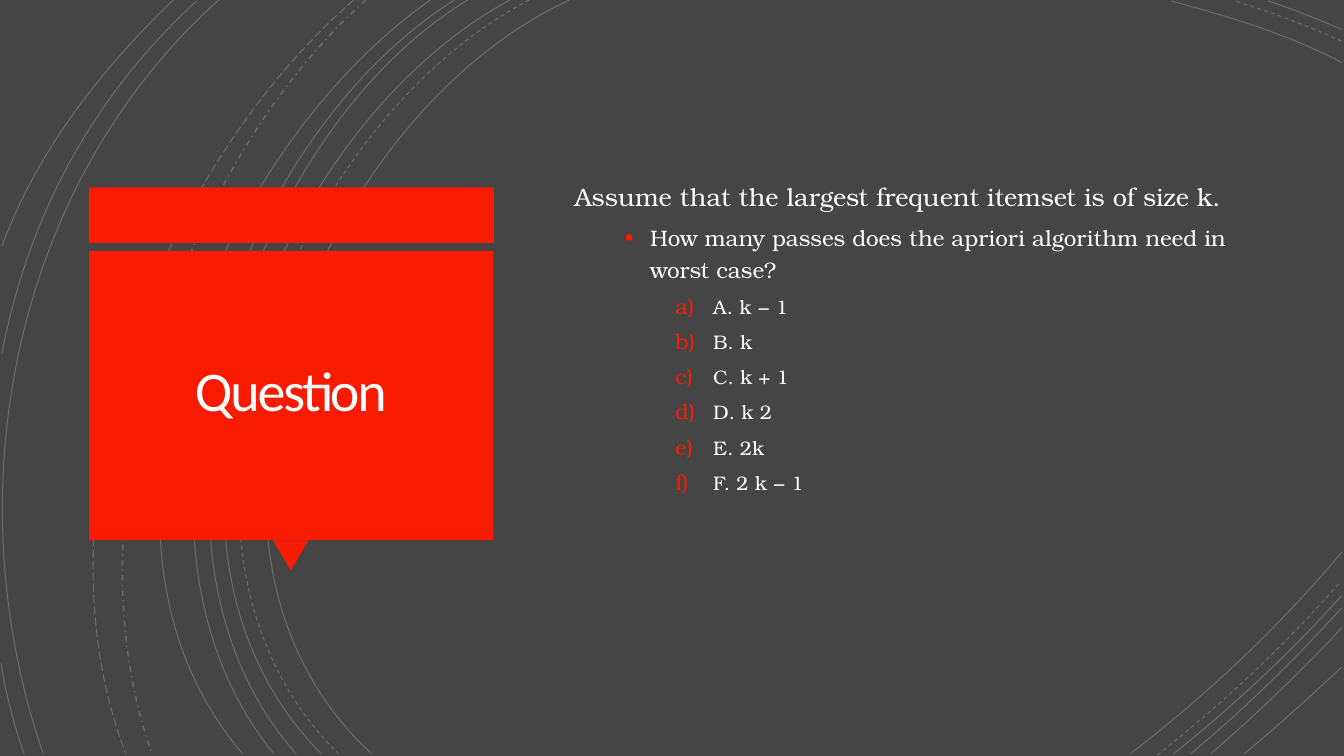
from dataclasses import dataclass

from lxml import etree
from pptx import Presentation
from pptx import util as u
from pptx.dml.color import RGBColor
from pptx.enum import dml, shapes, text
from pptx.oxml import ns

TITLE = "Question"
# Level, wording
BODY = [
    (0, "Assume that the largest frequent itemset is of size k."),
    (1, "How many passes does the apriori algorithm need in worst case?"),
    (2, "A. k − 1"),
    (2, "B. k"),
    (2, "C. k + 1"),
    (2, "D. k 2"),
    (2, "E. 2k"),
    (2, "F. 2 k − 1"),
]

# Cubic arcs in points: start, two control points, end; grouped by line style
SOLID_ARCS = [
    ((406.8, 0), (226.8, 82.8), (103, 388.8), (265.7, 538.6)),
    ((958.3, 44.6), (920.2, 24.5), (877, 11.5), (836.6, 0.7)),
    ((807.1, 538.6), (861.8, 496.8), (913.7, 447.8), (958.3, 394.6)),
    ((364.3, 0), (194.4, 91.4), (79.2, 386.6), (229.7, 538.6)),
    ((958.3, 20.9), (941, 13.7), (923.8, 6.5), (905.8, 0.7)),
    ((838.1, 538.6), (880.6, 504.7), (921.6, 466.6), (958.3, 425.5)),
    ((334.1, 0), (175.7, 95.8), (79.2, 389.5), (211.7, 538.6)),
    ((850.3, 538.6), (888.5, 506.9), (924.5, 471.6), (958.3, 434.2)),
    ((324.7, 0), (166.3, 99.4), (69.8, 383.8), (195.8, 538.6)),
    ((864.7, 538.6), (897.1, 510.5), (928.8, 480.2), (958.3, 448.6)),
    ((307.4, 0), (156.2, 105.8), (38.2, 380.9), (173.5, 538.6)),
    ((888.5, 538.6), (912.2, 519.1), (935.3, 498.2), (958.3, 476.6)),
    ((156.2, 0), (7.9, 133.2), (-33.1, 352.8), (31, 538.6)),
    ((140.4, 0.7), (66.2, 69.1), (20.2, 154.1), (1.4, 252.7)),
    ((0.7, 473.8), (4.3, 496.1), (10.1, 518.4), (17.3, 538.6)),
    ((123.8, 0), (72, 49.7), (26.6, 108), (1.4, 175.7)),
]
DASHED_ARCS = [
    ((378, 0), (205.2, 90), (88.6, 386.6), (241.9, 538.6)),
    ((958.3, 29.5), (933.8, 18), (907.2, 8.6), (882, 0.7)),
    ((826.6, 539.3), (873.4, 502.6), (918, 460.8), (957.6, 415.4)),
]
DASH_DOT_ARCS = [((261.4, 0), (126.7, 119.5), (46.8, 366.5), (108.7, 538.6))]
LONG_DASH_ARCS = [((252.7, 0), (113, 121.7), (20.9, 359.3), (90, 538.6))]
ARC_STYLES = [
    (SOLID_ARCS, dml.MSO_LINE.SOLID, 0.75),
    (DASHED_ARCS, dml.MSO_LINE.DASH, 0.75),
    (DASH_DOT_ARCS, dml.MSO_LINE.DASH_DOT, 1),
    (LONG_DASH_ARCS, dml.MSO_LINE.LONG_DASH, 0.75),
]

# Left, top, width, height in points
BANNER = (63.4, 133.9, 289.4, 39.6)
POINTER = (195.1, 385.9, 25.2, 21.6)
PANEL = (63.7, 179.3, 288.7, 206.6)
TITLE_BOX = (69.8, 185, 275.8, 193.7)
BODY_BOX = (403.2, 63.4, 494.6, 413.3)
BODY_BOTTOM_INSET = 65.3


@dataclass(frozen=True)
class Theme:
    ground: RGBColor = RGBColor(0x45, 0x45, 0x45)
    accent: RGBColor = RGBColor(0xF8, 0x1B, 0x02)
    white: RGBColor = RGBColor(0xFF, 0xFF, 0xFF)
    title_ink: RGBColor = RGBColor(0xFF, 0xFE, 0xFF)
    title_font: str = "Calibri"
    body_font: str = "TeX Gyre Bonum"
    title_size: float = 40
    body_sizes: tuple = (18, 16, 14)
    space_before: tuple = (10, 5, 5)
    margins: tuple = (0, 54, 99)
    indents: tuple = (0, -18, -27)
    arc_opacity: int = 20


THEME = Theme()
MARKERS = [("buNone", {}), ("buChar", {"char": "▪"}),
           ("buAutoNum", {"type": "alphaLcParenR"})]


def add_child(parent, tag, **attributes):
    return etree.SubElement(parent, ns.qn(f"a:{tag}"), attributes)


def add_arc(page, points, dash, width):
    """Draw a cubic curve by joining the outline's three segments into one."""
    start, *others = [(u.Pt(x), u.Pt(y)) for x, y in points]
    builder = page.shapes.build_freeform(*start)
    builder.add_line_segments(others, close=False)
    arc = builder.convert_to_shape()
    arc.shadow.inherit = False
    arc.fill.background()
    arc.line.color.rgb = THEME.white
    arc.line.width = u.Pt(width)
    arc.line.dash_style = dash
    ink = arc.line._get_or_add_ln().find(".//" + ns.qn("a:srgbClr"))
    add_child(ink, "alpha", val=str(THEME.arc_opacity * 1000))

    segments = list(arc._element.iter(ns.qn("a:lnTo")))
    curve = add_child(segments[0].getparent(), "cubicBezTo")
    for segment in segments:
        curve.append(segment[0])
        segment.getparent().remove(segment)


def add_block(page, kind, bounds, rotation=0):
    block = page.shapes.add_shape(kind, *map(u.Pt, bounds))
    block.rotation = rotation
    block.shadow.inherit = False
    block.fill.solid()
    block.fill.fore_color.rgb = THEME.accent
    block.line.fill.background()


def place(box, bounds):
    box.left, box.top, box.width, box.height = map(u.Pt, bounds)
    frame = box.text_frame
    frame.word_wrap = True
    frame.auto_size = text.MSO_AUTO_SIZE.NONE
    frame.vertical_anchor = text.MSO_ANCHOR.MIDDLE
    return frame


def add_span(para, words, font, size, ink):
    span = para.add_run()
    span.text = words
    span.font.name = font
    span.font.size = u.Pt(size)
    span.font.color.rgb = ink
    return span


def fill_title(box):
    frame = place(box, TITLE_BOX)
    frame.margin_left = frame.margin_right = u.Pt(18)
    frame.margin_top = frame.margin_bottom = u.Pt(18)
    para = frame.paragraphs[0]
    para.alignment = text.PP_ALIGN.CENTER
    para.line_spacing = 0.85
    span = add_span(para, TITLE, THEME.title_font, THEME.title_size, THEME.title_ink)
    span._r.get_or_add_rPr().set("spc", "-150")


def fill_body(box):
    frame = place(box, BODY_BOX)
    frame.margin_bottom = u.Pt(BODY_BOTTOM_INSET)
    for number, (level, words) in enumerate(BODY):
        para = frame.add_paragraph() if number else frame.paragraphs[0]
        para.level = level
        para.alignment = text.PP_ALIGN.LEFT
        para.line_spacing = 1.2
        para.space_before = u.Pt(THEME.space_before[level])
        para.space_after = u.Pt(0)
        props = para._p.get_or_add_pPr()
        props.set("marL", str(u.Pt(THEME.margins[level])))
        props.set("indent", str(u.Pt(THEME.indents[level])))
        add_child(add_child(props, "buClr"), "srgbClr", val=str(THEME.accent))
        add_child(props, "buSzPct", val="110000")
        tag, attributes = MARKERS[level]
        add_child(props, tag, **attributes)
        add_span(para, words, THEME.body_font, THEME.body_sizes[level], THEME.white)


def main():
    deck = Presentation()
    deck.slide_width, deck.slide_height = u.Pt(960), u.Pt(540)
    page = deck.slides.add_slide(deck.slide_layouts[1])
    page.background.fill.solid()
    page.background.fill.fore_color.rgb = THEME.ground
    title, body = page.placeholders

    for arcs, dash, width in ARC_STYLES:
        for points in arcs:
            add_arc(page, points, dash, width)
    add_block(page, shapes.MSO_SHAPE.RECTANGLE, BANNER)
    add_block(page, shapes.MSO_SHAPE.ISOSCELES_TRIANGLE, POINTER, rotation=180)
    add_block(page, shapes.MSO_SHAPE.RECTANGLE, PANEL)

    fill_title(title)
    fill_body(body)
    for box in (title, body):
        page.shapes._spTree.append(box._element)  # bring text to the front
    deck.save("out.pptx")


if __name__ == "__main__":
    main()
